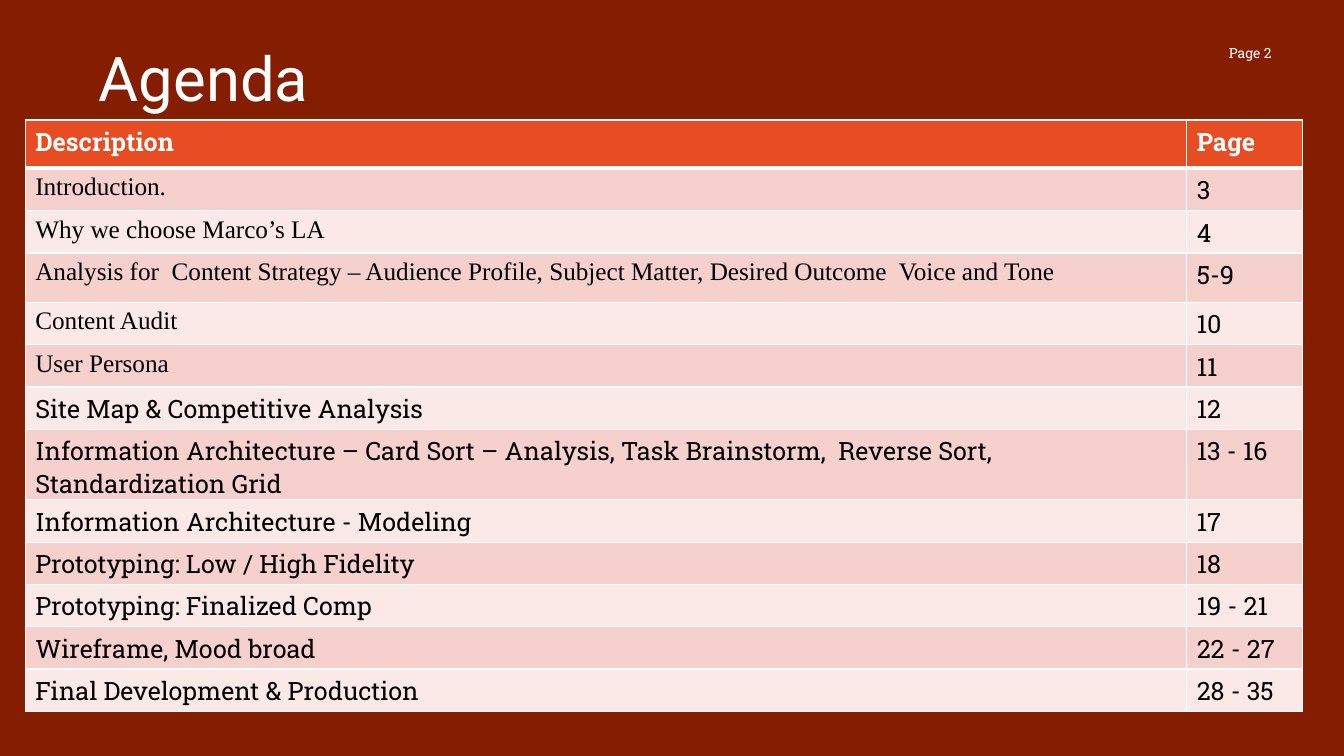
from lxml.etree import SubElement
from pptx import Presentation
from pptx.dml.color import RGBColor
from pptx.enum.text import MSO_ANCHOR, PP_ALIGN
from pptx.oxml.ns import qn
from pptx.util import Inches, Pt

AGENDA = [
    ("Introduction.", "3"),
    ("Why we choose Marco’s LA", "4"),
    ("Analysis for  Content Strategy – Audience Profile, Subject Matter, Desired Outcome  Voice and Tone", "5-9"),
    ("Content Audit", "10"),
    ("User Persona", "11"),
    ("Site Map & Competitive Analysis", "12"),
    ("Information Architecture – Card Sort – Analysis, Task Brainstorm,  Reverse Sort, Standardization Grid", "13 - 16"),
    ("Information Architecture - Modeling", "17"),
    ("Prototyping: Low / High Fidelity", "18"),
    ("Prototyping: Finalized Comp", "19 - 21"),
    ("Wireframe, Mood broad", "22 - 27"),
    ("Final Development & Production", "28 - 35"),
]
SERIF_ROWS = range(1, 6)
ROW_HEIGHT = 0.42
SPECIAL_HEIGHTS = {0: 0.48, 3: 0.49, 7: 0.68}
COLUMN_WIDTHS = (11.52, 1.15)


def color(value):
    return RGBColor.from_string(value)


class AgendaPage:
    heading_font = "Roboto"
    body_font = "Roboto Slab"
    serif_font = "Times New Roman"
    white = "FFFFFF"
    black = "000000"
    background = "851D00"
    header_fill = "E84C22"
    bands = ("FBE9E8", "F6D0CD")

    def __init__(self, deck):
        self.page = deck.slides.add_slide(deck.slide_layouts[5])
        fill = self.page.background.fill
        fill.solid()
        fill.fore_color.rgb = color(self.background)

    def style_text(self, frame, text, size, font, ink, bold=False, align=PP_ALIGN.LEFT):
        frame.text = text
        frame.word_wrap = True
        para = frame.paragraphs[0]
        para.alignment = align
        span = para.runs[0]
        span.font.size = Pt(size)
        span.font.name = font
        span.font.bold = bold
        span.font.color.rgb = color(ink)

    def title(self, text, left, top, width, height):
        box = self.page.shapes.title
        box.left, box.top = Inches(left), Inches(top)
        box.width, box.height = Inches(width), Inches(height)
        self.style_text(box.text_frame, text, 44, self.heading_font, self.white)
        box.text_frame.vertical_anchor = MSO_ANCHOR.TOP

    def page_label(self, text, left, top, width, height):
        box = self.page.shapes.add_textbox(
            Inches(left), Inches(top), Inches(width), Inches(height))
        self.style_text(box.text_frame, text, 10, self.body_font, self.white, align=PP_ALIGN.RIGHT)
        box.text_frame.vertical_anchor = MSO_ANCHOR.MIDDLE

    def borders(self, cell, bottom):
        properties = cell._tc.get_or_add_tcPr()
        for position, (side, points) in enumerate(
                (("L", 1), ("R", 1), ("T", 1), ("B", bottom))):
            line = SubElement(properties, qn(f"a:ln{side}"), w=str(Pt(points)))
            paint = SubElement(line, qn("a:solidFill"))
            SubElement(paint, qn("a:srgbClr"), val=self.white)
            properties.insert(position, line)

    def cell(self, cell, text, font, ink, fill, is_header):
        self.style_text(cell.text_frame, text, 18, font, ink, is_header)
        cell.fill.solid()
        cell.fill.fore_color.rgb = color(fill)
        self.borders(cell, 3 if is_header else 1)

    def table(self, rows, left, top):
        heights = [SPECIAL_HEIGHTS.get(index, ROW_HEIGHT) for index in range(len(rows))]
        table = self.page.shapes.add_table(
            len(rows), len(COLUMN_WIDTHS), Inches(left), Inches(top),
            Inches(sum(COLUMN_WIDTHS)), Inches(sum(heights))).table
        for column, width in zip(table.columns, COLUMN_WIDTHS):
            column.width = Inches(width)
        for row_index, (row, height) in enumerate(zip(rows, heights)):
            table.rows[row_index].height = Inches(height)
            is_header = row_index == 0
            fill = self.header_fill if is_header else self.bands[row_index % 2]
            ink = self.white if is_header else self.black
            for column_index, text in enumerate(row):
                is_serif = column_index == 0 and row_index in SERIF_ROWS
                font = self.serif_font if is_serif else self.body_font
                self.cell(table.cell(row_index, column_index), text, font, ink, fill, is_header)


def main():
    deck = Presentation()
    deck.slide_width = Inches(13.33)
    deck.slide_height = Inches(7.5)
    agenda = AgendaPage(deck)
    agenda.page_label("Page 2", 11.71, 0.35, 1, 0.35)
    agenda.title("Agenda", 0.88, 0.35, 6.66, 0.84)
    agenda.table([("Description", "Page")] + AGENDA, 0.25, 1.19)
    deck.save("out.pptx")


if __name__ == "__main__":
    main()
